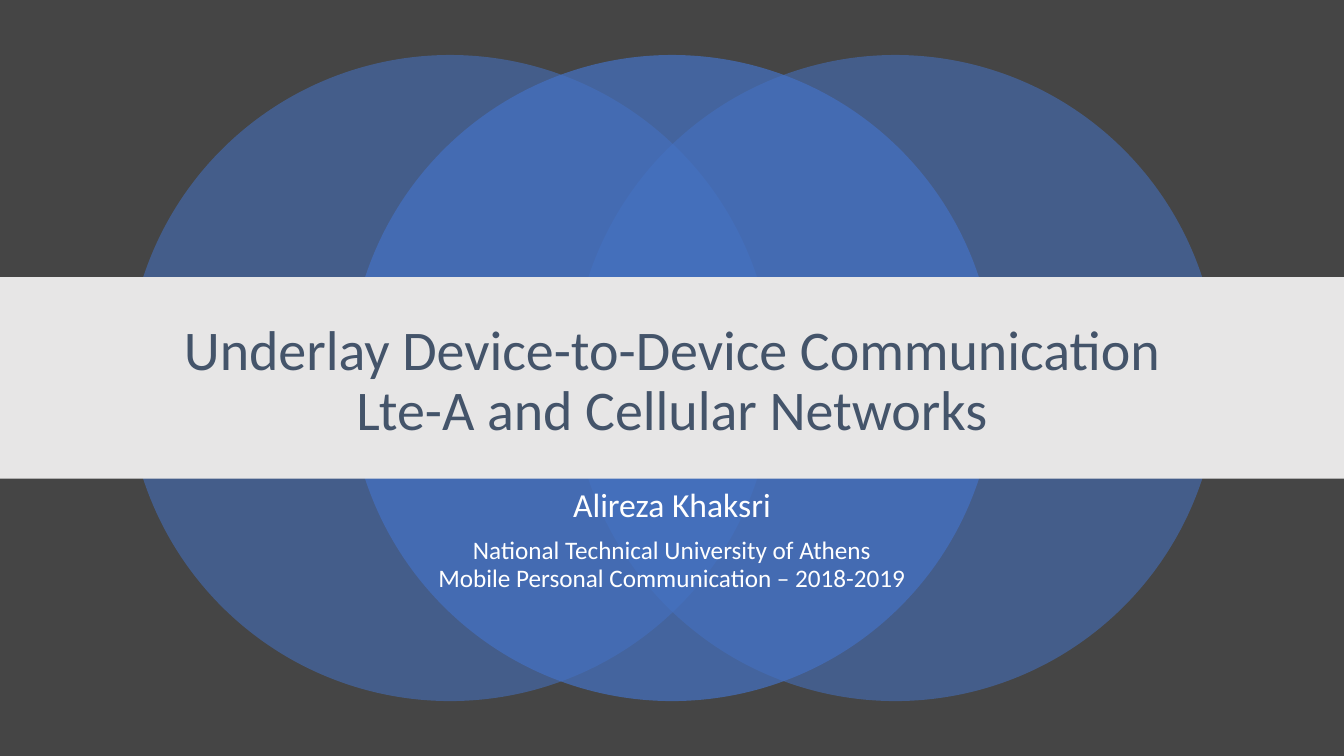
import lxml.etree
import pptx
import pptx.dml.color
import pptx.enum.shapes
import pptx.enum.text
import pptx.oxml.ns
import pptx.util

Pt = pptx.util.Pt
RGBColor = pptx.dml.color.RGBColor
MSO_SHAPE = pptx.enum.shapes.MSO_SHAPE
qn = pptx.oxml.ns.qn

BACKGROUND = RGBColor(0x45, 0x45, 0x45)
CIRCLE_BLUE = RGBColor(0x44, 0x72, 0xC4)
BAND_GREY = RGBColor(0xE7, 0xE6, 0xE6)
TITLE_SLATE = RGBColor(0x44, 0x54, 0x6A)
WHITE = RGBColor(0xFF, 0xFF, 0xFF)

SLIDE_WIDTH, SLIDE_HEIGHT = 960, 540
DIAMETER = 461.5
TEXT_LEFT, TEXT_WIDTH = 120, 720
BAND_TOP, BAND_HEIGHT = 198, 144


def add_plain_shape(preset, left, top, width, height, color):
    shape = slide.shapes.add_shape(preset, Pt(left), Pt(top), Pt(width), Pt(height))
    shape.shadow.inherit = False
    shape.fill.solid()
    shape.fill.fore_color.rgb = color
    shape.line.fill.background()
    return shape


def format_paragraph(paragraph, size, color, line_spacing):
    paragraph.alignment = pptx.enum.text.PP_ALIGN.CENTER
    paragraph.line_spacing = line_spacing
    for run in paragraph.runs:
        run.font.name = "Calibri"
        run.font.size = Pt(size)
        run.font.color.rgb = color


presentation = pptx.Presentation()
presentation.slide_width = Pt(SLIDE_WIDTH)
presentation.slide_height = Pt(SLIDE_HEIGHT)
slide = presentation.slides.add_slide(presentation.slide_layouts[5])
slide.background.fill.solid()
slide.background.fill.fore_color.rgb = BACKGROUND

# Overlapping circles: the outer two first, the denser middle one on top
for left, opacity in ((90.75, 55), (408.75, 55), (249.25, 70)):
    circle = add_plain_shape(MSO_SHAPE.OVAL, left, 39.3, DIAMETER, DIAMETER, CIRCLE_BLUE)
    circle_color = circle._element.spPr.find(qn("a:solidFill")).find(qn("a:srgbClr"))
    alpha = lxml.etree.SubElement(circle_color, qn("a:alpha"))
    alpha.set("val", str(opacity * 1000))

# Author and course
subtitle = slide.shapes.add_textbox(
    Pt(TEXT_LEFT), Pt(BAND_TOP + BAND_HEIGHT), Pt(TEXT_WIDTH), Pt(147)
)
subtitle.text_frame.word_wrap = True
author = subtitle.text_frame.paragraphs[0]
author.text = "Alireza Khaksri"
format_paragraph(author, 24, WHITE, 1.0)
course = subtitle.text_frame.add_paragraph()
course.text = (
    "National Technical University of Athens\v"
    "Mobile Personal Communication – 2018-2019"
)
course.space_before = Pt(10)
format_paragraph(course, 18, WHITE, 0.9)

# Title on its band
add_plain_shape(MSO_SHAPE.RECTANGLE, 0, BAND_TOP, SLIDE_WIDTH, BAND_HEIGHT, BAND_GREY)
title = slide.shapes.title
slide.shapes._spTree.append(title._element)  # bring in front of the band
title.left, title.top = Pt(TEXT_LEFT), Pt(219)
title.width, title.height = Pt(TEXT_WIDTH), Pt(108.5)
title.text_frame.text = "Underlay Device-to-Device Communication\vLte-A and Cellular Networks"
title.text_frame.word_wrap = True
title.text_frame.auto_size = pptx.enum.text.MSO_AUTO_SIZE.NONE
title.text_frame.vertical_anchor = pptx.enum.text.MSO_ANCHOR.MIDDLE
format_paragraph(title.text_frame.paragraphs[0], 40, TITLE_SLATE, 0.9)

presentation.save("out.pptx")
